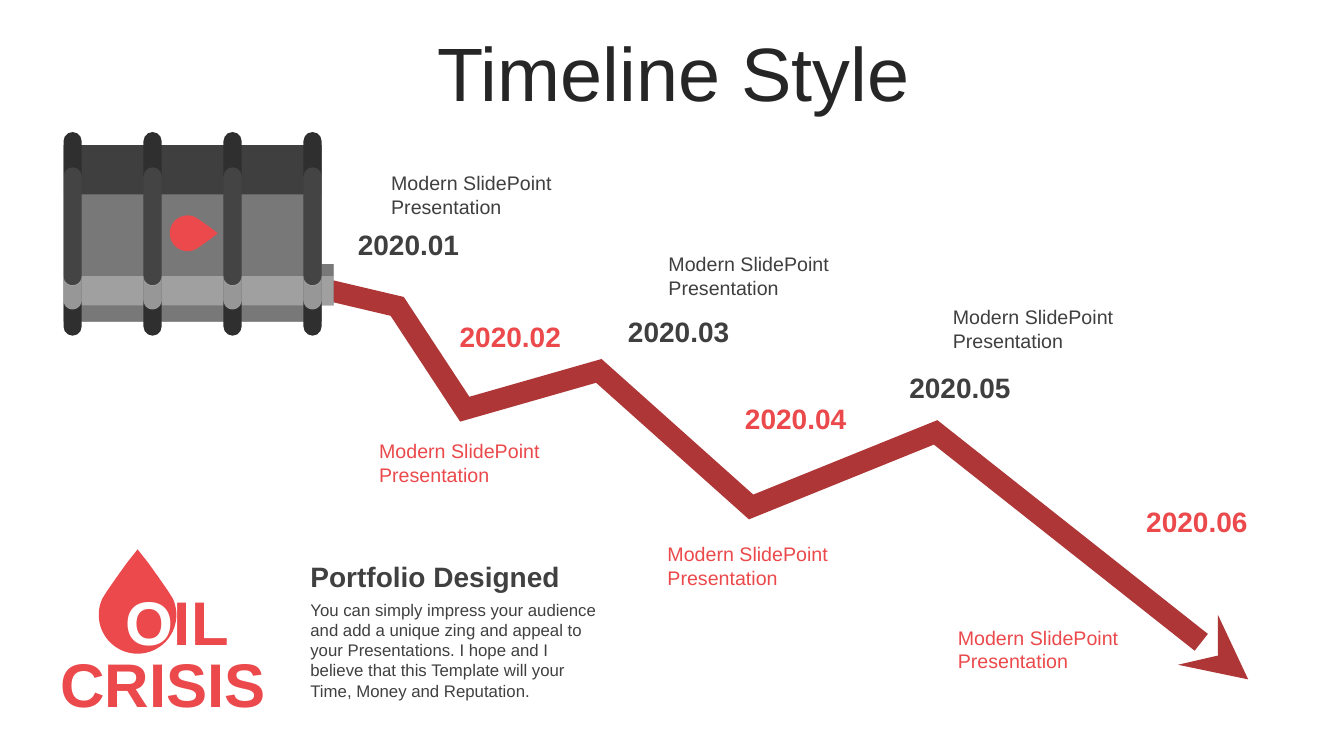
from dataclasses import dataclass
from math import cos, radians, sin

from lxml import etree
from pptx import Presentation
from pptx import util as u
from pptx.dml.color import RGBColor
from pptx.enum import shapes, text
from pptx.oxml.ns import qn


@dataclass(frozen=True)
class Theme:
    font: str = "Arial"
    title_ink: str = "262626"
    ink: str = "3F3F3F"
    body_ink: str = "404040"
    red: str = "EB494B"
    dark_red: str = "AE3637"
    band: str = "2F2F2F"
    white: str = "FFFFFF"
    title: float = 54
    lettering: float = 44
    heading: float = 20
    label: float = 14
    body: float = 12
    stream: float = 15.25


theme = Theme()


def paint(part, color, opacity=100):
    part.shadow.inherit = False
    part.line.fill.background()
    part.fill.solid()
    part.fill.fore_color.rgb = RGBColor.from_string(color)
    if opacity < 100:
        tone = part._element.spPr.find(qn("a:solidFill"))[0]
        etree.SubElement(tone, qn("a:alpha")).set("val", str(opacity * 1000))


def write(box, words, size, color, bold=False, wrap=True, inset=(0.1, 0.05)):
    frame = box.text_frame
    frame.text = words
    frame.word_wrap = wrap
    frame.auto_size = text.MSO_AUTO_SIZE.NONE
    frame.margin_left = frame.margin_right = u.Inches(inset[0])
    frame.margin_top = frame.margin_bottom = u.Inches(inset[1])
    for run in frame.paragraphs[0].runs:
        run.font.name = theme.font
        run.font.size = u.Pt(size)
        run.font.bold = bold
        run.font.color.rgb = RGBColor.from_string(color)
    return frame


deck = Presentation()
deck.slide_width, deck.slide_height = u.Inches(13.33), u.Inches(7.5)
slide = deck.slides.add_slide(deck.slide_layouts[5])
canvas = slide.shapes

title = canvas.title
title.left, title.top = u.Inches(0.35), u.Inches(0.37)
title.width, title.height = u.Inches(12.66), u.Inches(0.79)
title_frame = write(title, "Timeline Style", theme.title, theme.title_ink)
title_frame.vertical_anchor = text.MSO_ANCHOR.MIDDLE
title_frame.paragraphs[0].alignment = text.PP_ALIGN.CENTER
title_frame.paragraphs[0].line_spacing = 0.9
title_frame.paragraphs[0].space_before = u.Pt(0)

turns = [(3.22, 2.87), (3.94, 3.04), (4.61, 4.06), (5.94, 3.68),
         (7.45, 5.03), (9.28, 4.29), (12.38, 6.74)]
turns = [(u.Inches(x), u.Inches(y)) for x, y in turns]
builder = canvas.build_freeform(*turns[0])
builder.add_line_segments(turns[1:], close=False)
stream = builder.convert_to_shape()
stream.shadow.inherit = False
stream.fill.background()
stream.line.color.rgb = RGBColor.from_string(theme.dark_red)
stream.line.width = u.Pt(theme.stream)
stroke = stream._element.spPr.find(qn("a:ln"))
etree.SubElement(stroke, qn("a:miter")).set("lim", "800000")
etree.SubElement(stroke, qn("a:tailEnd")).set("type", "stealth")

outlines = []
for top, color, opacity in [(1.44, theme.ink, 100), (1.93, theme.white, 30)]:
    barrel = [(0.63, top), (3.19, top), (3.19, 2.62), (3.31, 2.62),
              (3.31, 3.03), (3.19, 3.03), (3.19, 3.19), (0.63, 3.19)]
    outlines.append((barrel, color, opacity))
outlines.append(([(0.63, 2.74), (3.31, 2.74), (3.31, 3.03), (0.63, 3.03)],
                 theme.white, 30))

radius = 0.09
arc = [(radius * cos(radians(a)), radius * sin(radians(a))) for a in range(0, 181, 10)]
glints = []
for band in range(4):
    center = 0.72 + band * 2.38 / 3
    glint = [(center + x, 2.98 + y) for x, y in arc]
    glint += [(center + x, 2.74 + y) for x, y in reversed(arc)]
    glints.append((glint, theme.white, 50))

half = [(0, 0), (0.11, 0.14), (0.21, 0.28), (0.3, 0.41)]
half += [(0.385 * cos(radians(a)), 0.65 + 0.385 * sin(radians(a)))
         for a in range(-25, 91, 5)]
drop = half + [(-across, along) for across, along in reversed(half[1:-1])]
barrel_drop = [(2.16 - 0.46 * along, 2.315 + 0.46 * across) for across, along in drop]
emblem_drop = [(1.365 + across, 5.45 + along) for across, along in drop]
drops = [(barrel_drop, theme.red, 100), (emblem_drop, theme.red, 100)]

for layer in (outlines, glints + drops):
    for points, color, opacity in layer:
        points = [(u.Inches(x), u.Inches(y)) for x, y in points]
        builder = canvas.build_freeform(*points[0])
        builder.add_line_segments(points[1:])
        paint(builder.convert_to_shape(), color, opacity)
    if layer is outlines:
        for top, height, color, opacity in [(1.31, 2.02, theme.band, 100),
                                            (1.66, 1.18, theme.white, 10)]:
            for band in range(4):
                hoop = canvas.add_shape(
                    shapes.MSO_SHAPE.ROUNDED_RECTANGLE,
                    u.Inches(0.63 + band * 2.38 / 3), u.Inches(top),
                    u.Inches(2 * radius), u.Inches(height))
                hoop.adjustments[0] = 0.5
                paint(hoop, color, opacity)

for word, left, top, width in [("OIL", 1.25, 5.79, 1.2), ("CRISIS", 0.6, 6.41, 2.2)]:
    box = canvas.add_textbox(u.Inches(left), u.Inches(top), u.Inches(width), u.Inches(0.7))
    lettering = write(box, word, theme.lettering, theme.red, True, False, (0, 0))
    if word == "OIL":
        line = lettering.paragraphs[0]
        line.runs[0].text = "O"
        line.runs[0].font.color.rgb = RGBColor.from_string(theme.white)
        rest = line.add_run()
        rest.text = "IL"
        rest.font.name, rest.font.size, rest.font.bold = theme.font, u.Pt(theme.lettering), True
        rest.font.color.rgb = RGBColor.from_string(theme.red)

milestones = [
    ("2020.01", (3.45, 2.21), (3.76, 1.65)),
    ("2020.02", (4.46, 3.12), (3.64, 4.31)),
    ("2020.03", (6.13, 3.07), (6.51, 2.45)),
    ("2020.04", (7.29, 3.93), (6.5, 5.33)),
    ("2020.05", (8.92, 3.63), (9.33, 2.98)),
    ("2020.06", (11.27, 4.96), (9.38, 6.16)),
]
for step, (date, date_at, label_at) in enumerate(milestones):
    color = theme.red if step % 2 else theme.ink
    box = canvas.add_textbox(*map(u.Inches, date_at), u.Inches(1.21), u.Inches(0.44))
    write(box, date, theme.heading, color, True, False)
    box = canvas.add_textbox(*map(u.Inches, label_at), u.Inches(2.03), u.Inches(0.57))
    write(box, "Modern SlidePoint Presentation", theme.label, color, inset=(0.12, 0.05))

box = canvas.add_textbox(u.Inches(2.98), u.Inches(5.51), u.Inches(3.09), u.Inches(0.39))
heading = write(box, "Portfolio Designed", theme.heading, theme.body_ink, True)
heading.vertical_anchor = text.MSO_ANCHOR.MIDDLE
heading.paragraphs[0].line_spacing = 1.1
box = canvas.add_textbox(u.Inches(2.98), u.Inches(5.9), u.Inches(3.09), u.Inches(1.11))
write(box, "You can simply impress your audience and add a unique zing and appeal to your "
      "Presentations. I hope and I believe that this Template will your Time, Money and "
      "Reputation.", theme.body, theme.body_ink)

deck.save("out.pptx")
